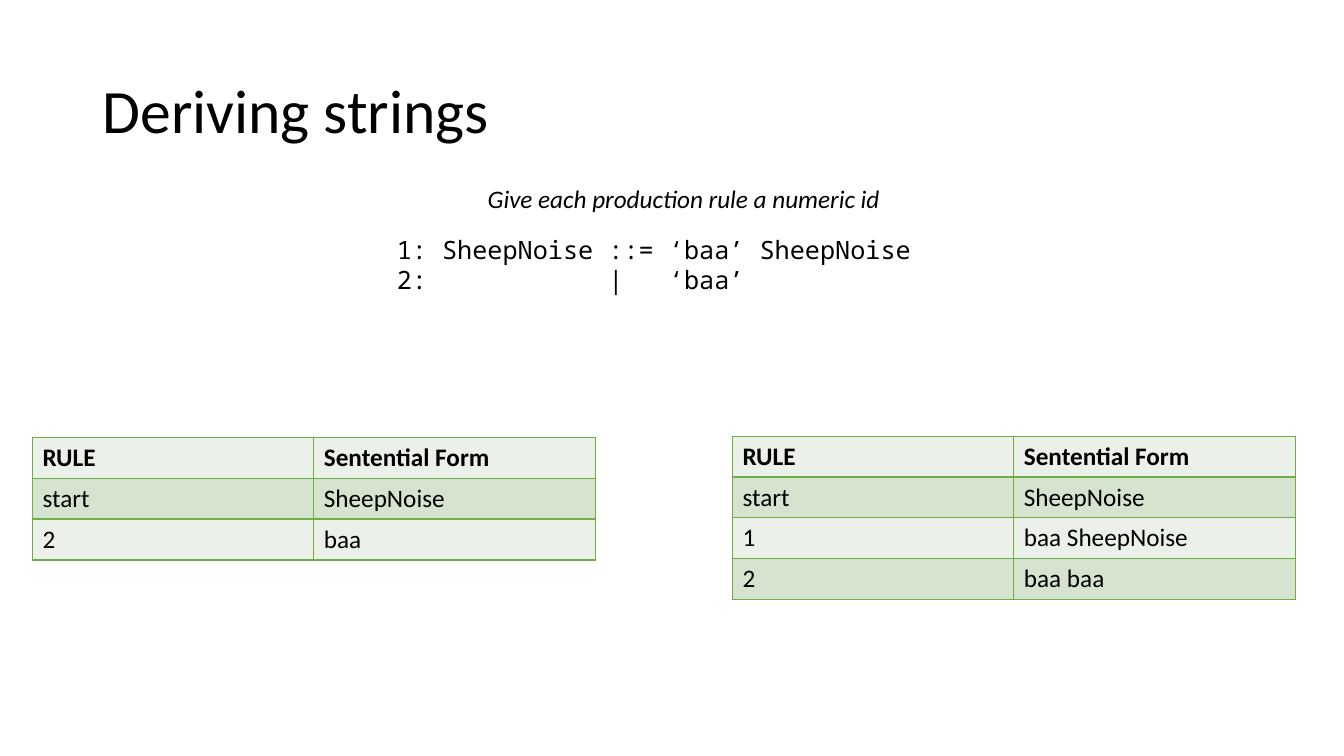
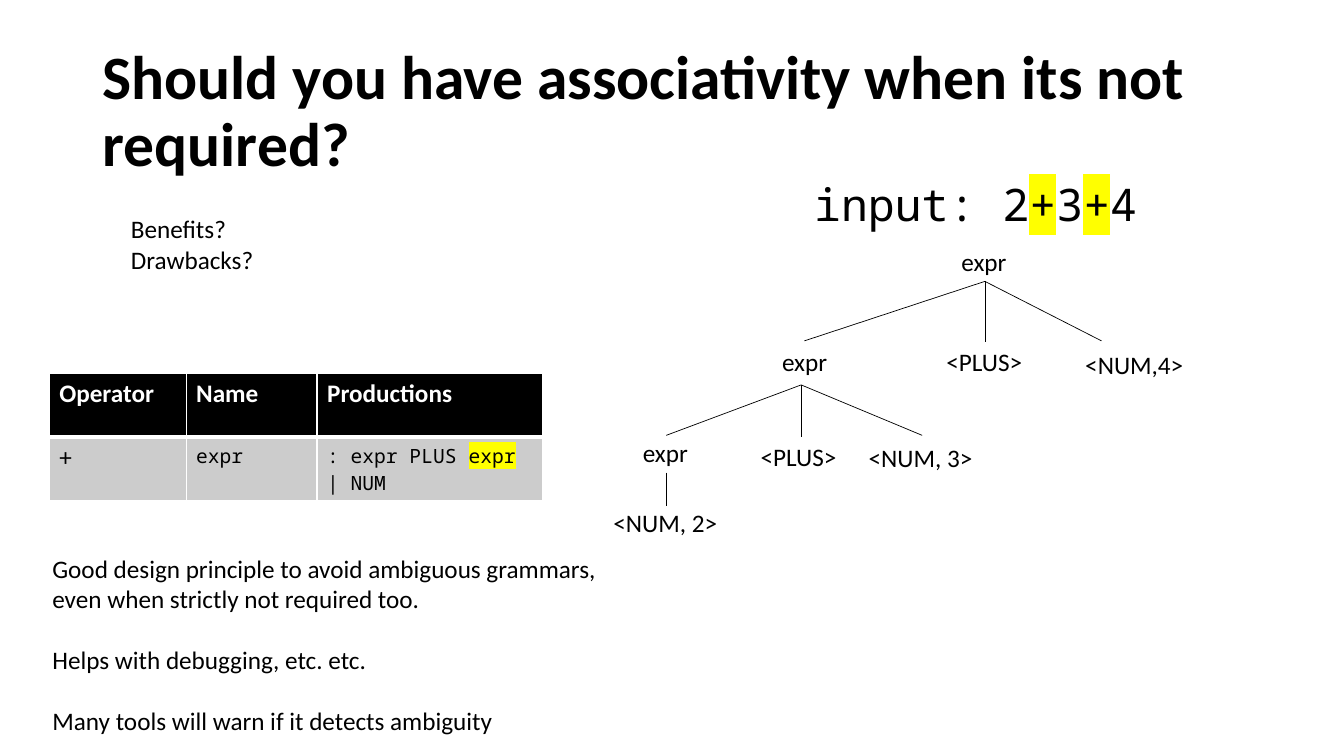
from lxml import etree
from pptx import Presentation
from pptx import util as u
from pptx.dml.color import RGBColor
from pptx.enum import shapes, text
from pptx.oxml import ns

BLACK = RGBColor(0x00, 0x00, 0x00)
WHITE = RGBColor(0xFF, 0xFF, 0xFF)
GREEN = RGBColor(0x70, 0xAD, 0x47)
PALE_GREEN = RGBColor(0xEB, 0xF1, 0xE9)
SOFT_GREEN = RGBColor(0xD5, 0xE3, 0xCF)
GRAY = RGBColor(0xCC, 0xCC, 0xCC)
YELLOW = RGBColor(0xFF, 0xFF, 0x00)
SANS = "Calibri"
MONO = "Noto Sans Mono"


def write(frame, lines, size=18, font=SANS, color=BLACK, bold=False, italic=False):
    for number, line in enumerate(lines):
        para = frame.add_paragraph() if number else frame.paragraphs[0]
        for position, piece in enumerate(line.split("*")):
            if not piece:
                continue
            span = para.add_run()
            span.text = piece
            span.font.size = u.Pt(size)
            span.font.name = font
            span.font.bold = bold
            span.font.italic = italic
            span.font.color.rgb = color
            if position % 2:
                latin = span._r.get_or_add_rPr().find(ns.qn("a:latin"))
                highlight = etree.Element(ns.qn("a:highlight"))
                etree.SubElement(highlight, ns.qn("a:srgbClr"), val=str(YELLOW))
                latin.addprevious(highlight)


def draw_table(page, left, top, widths, row_height, rows, header, bands, edge, rule):
    table = page.shapes.add_table(
        len(rows), len(widths), u.Cm(left), u.Cm(top),
        u.Cm(sum(widths)), u.Cm(row_height * len(rows))).table
    for column, width in zip(table.columns, widths):
        column.width = u.Cm(width)
    for r, row in enumerate(rows):
        table.rows[r].height = u.Cm(row_height)
        for c, content in enumerate(row):
            cell = table.cell(r, c)
            fill, color = (bands[(r - 1) % len(bands)], BLACK) if r else header
            write(cell.text_frame, content.split("\n"), color=color, bold=r == 0)
            cell.fill.solid()
            cell.fill.fore_color.rgb = fill
            sides = {"L": 1, "R": 1, "T": rule if r == 1 else 1, "B": 1 if r else rule}
            properties = cell._tc.get_or_add_tcPr()
            for order, (side, points) in enumerate(sides.items()):
                border = etree.Element(ns.qn("a:ln" + side), w=str(u.Pt(points)))
                paint = etree.SubElement(border, ns.qn("a:solidFill"))
                etree.SubElement(paint, ns.qn("a:srgbClr"), val=str(edge))
                properties.insert(order, border)
    return table


deck = Presentation()
deck.slide_width = u.Cm(33.87)
deck.slide_height = u.Cm(19.05)

pages = []
for heading, bold in [
    ("Deriving strings", False),
    ("Should you have associativity when its not required?", True),
]:
    page = deck.slides.add_slide(deck.slide_layouts[5])
    title = page.shapes.title
    title.left, title.top = u.Cm(2.33), u.Cm(1.01)
    title.width, title.height = u.Cm(29.21), u.Cm(3.68)
    frame = title.text_frame
    frame.word_wrap = True
    frame.auto_size = text.MSO_AUTO_SIZE.NONE
    frame.vertical_anchor = text.MSO_ANCHOR.MIDDLE
    write(frame, [heading], size=44, bold=bold)
    frame.paragraphs[0].alignment = text.PP_ALIGN.LEFT
    frame.paragraphs[0].line_spacing = 0.9
    pages.append(page)
deriving, associativity = pages

grammar = ["1: SheepNoise ::= ‘baa’ SheepNoise", "2:\t|\t‘baa’"]
advice = [
    "Good design principle to avoid ambiguous grammars,",
    "even when strictly not required too.",
    "Helps with debugging, etc. etc.",
    "Many tools will warn if it detects ambiguity",
]
italic = {"italic": True}
code = {"font": MONO}
large_code = {"font": MONO, "size": 32}
frames = []
for page, left, top, width, height, lines, style in [
    (deriving, 9.75, 5.77, 13.54, 1.8, grammar, code),
    (associativity, 1.07, 13.82, 14.38, 4.88, advice, {}),
    (deriving, 12.04, 4.5, 10.64, 1.02, ["Give each production rule a numeric id"], italic),
    (associativity, 20.27, 4.34, 8.74, 1.62, ["input: 2*+*3*+*4"], large_code),
    (associativity, 3.05, 5.26, 3.63, 1.8, ["Benefits?", "Drawbacks?"], {}),
    (associativity, 23.98, 6.07, 1.65, 1.02, ["expr"], {}),
    (associativity, 19.46, 8.59, 1.65, 1.02, ["expr"], {}),
    (associativity, 23.6, 8.61, 2.44, 1.02, ["<PLUS>"], {}),
    (associativity, 27.1, 8.69, 3.02, 1.02, ["<NUM,4>"], {}),
    (associativity, 15.95, 10.9, 1.65, 1.02, ["expr"], {}),
    (associativity, 18.92, 11, 2.44, 1.02, ["<PLUS>"], {}),
    (associativity, 21.64, 11.02, 3.15, 1.02, ["<NUM, 3>"], {}),
    (associativity, 15.21, 12.67, 3.15, 1.02, ["<NUM, 2>"], {}),
]:
    box = page.shapes.add_textbox(u.Cm(left), u.Cm(top), u.Cm(width), u.Cm(height))
    frame = box.text_frame
    frame.word_wrap = False
    frame.auto_size = text.MSO_AUTO_SIZE.SHAPE_TO_FIT_TEXT
    write(frame, lines, **style)
    frames.append(frame)
grammar_frame, advice_frame = frames[:2]

tabs = etree.SubElement(grammar_frame.paragraphs[1]._p.get_or_add_pPr(), ns.qn("a:tabLst"))
for stop in (5.33, 6.86):
    etree.SubElement(tabs, ns.qn("a:tab"), pos=str(u.Cm(stop)), algn="l")
for para in advice_frame.paragraphs[2:]:
    para.space_before = u.Pt(22)

for left, top, steps in [
    (0.82, 11.02, [("2", "baa")]),
    (18.46, 10.99, [("1", "baa SheepNoise"), ("2", "baa baa")]),
]:
    rows = [("RULE", "Sentential Form"), ("start", "SheepNoise")] + steps
    draw_table(deriving, left, top, [7.09, 7.09], 1.03, rows,
               (PALE_GREEN, BLACK), [SOFT_GREEN, PALE_GREEN], GREEN, 1)

operators = draw_table(
    associativity, 1.24, 9.42, [3.45, 3.3, 5.69], 1.6,
    [("Operator", "Name", "Productions"), ("+", "expr", ": expr PLUS *expr*\n| NUM")],
    (BLACK, WHITE), [GRAY], WHITE, 3)
for column in (1, 2):
    for para in operators.cell(1, column).text_frame.paragraphs:
        for span in para.runs:
            span.font.name = MONO
            span.font.size = u.Pt(14)

for parent, children in [
    ((24.82, 7.09), [(20.27, 8.59), (24.82, 8.61), (27.76, 8.59)]),
    ((20.19, 9.7), [(16.79, 10.97), (20.19, 11), (23.24, 10.97)]),
    ((16.79, 11.91), [(16.79, 12.75)]),
]:
    for child in children:
        branch = associativity.shapes.add_connector(
            shapes.MSO_CONNECTOR.STRAIGHT, *map(u.Cm, parent + child))
        branch.line.color.rgb = BLACK
        branch.line.width = u.Pt(0.5)
        etree.SubElement(branch._element.spPr, ns.qn("a:effectLst"))

deck.save("out.pptx")
